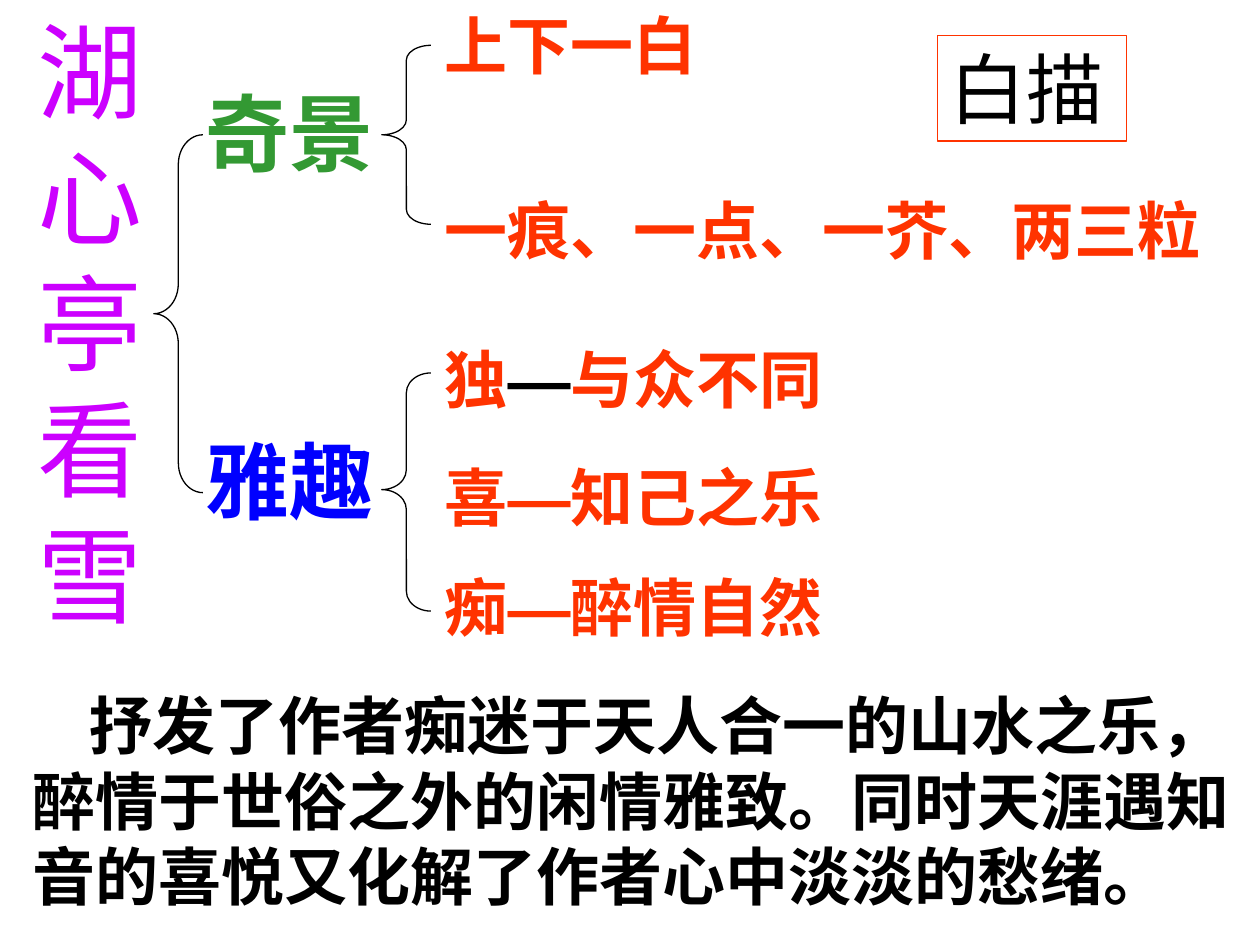
from pptx import Presentation
from pptx.dml.color import RGBColor
from pptx.enum.shapes import MSO_SHAPE as Shape
from pptx.enum.text import MSO_ANCHOR as Anchor, MSO_AUTO_SIZE as AutoSize, PP_ALIGN as Align
from pptx.oxml.ns import qn
from pptx.util import Inches, Pt
from lxml.etree import SubElement

COLUMNS, ROWS = 10, 7.5
BLACK = RGBColor(0, 0, 0)
RED = RGBColor(0xFF, 0x33, 0)
GREEN = RGBColor(0x33, 0x99, 0x33)
BLUE = RGBColor(0, 0, 0xFF)
PURPLE = RGBColor(0xCC, 0, 0xFF)


def write(box, *parts, size=36, color=RED, bold=True, font="Arial", indent=0):
    frame = box.text_frame
    frame.word_wrap = True
    frame.auto_size = AutoSize.NONE
    frame.vertical_anchor = Anchor.TOP
    para = frame.paragraphs[0]
    para.alignment = Align.LEFT
    if indent:
        para._p.get_or_add_pPr().set("indent", str(Inches(indent)))
    for part in parts:
        text, tint = part if isinstance(part, tuple) else (part, color)
        span = para.add_run()
        span.text = text
        span.font.name = font
        span.font.size = Pt(size)
        span.font.bold = bold
        span.font.color.rgb = tint
        SubElement(span._r.get_or_add_rPr(), qn("a:ea")).set("typeface", font)


class Board:
    def __init__(self, deck):
        self.page = deck.slides.add_slide(deck.slide_layouts[5])
        self.column = deck.slide_width / COLUMNS
        self.row = deck.slide_height / ROWS

    def area(self, left, top, width, height):
        return (int(left * self.column), int(top * self.row),
                int(width * self.column), int(height * self.row))

    def title(self, text, *place, **style):
        box = self.page.shapes.title
        box.left, box.top, box.width, box.height = self.area(*place)
        write(box, text, **style)

    def label(self, parts, *place, **style):
        write(self.page.shapes.add_textbox(*self.area(*place)), *parts, **style)

    def outline(self, kind, color, *place):
        shape = self.page.shapes.add_shape(kind, *self.area(*place))
        shape.shadow.inherit = False
        shape.fill.background()
        shape.line.color.rgb = color
        shape.line.width = Pt(0.75)
        return shape

    def brace(self, left, top, height, middle=0.5):
        width = 0.39
        brace = self.outline(Shape.LEFT_BRACE, BLACK, left, top, width, height)
        brace.adjustments[0] = height / 12 / width
        brace.adjustments[1] = middle

    def framed(self, text, *place, **style):
        write(self.outline(Shape.RECTANGLE, RED, *place), text, **style)


def main():
    deck = Presentation()
    deck.slide_width, deck.slide_height = Inches(COLUMNS), Inches(ROWS)
    board = Board(deck)

    board.title("湖心亭看雪", 0.2, 0, 0.98, 5.1, size=60, color=PURPLE, bold=False)
    for text, top, color in (("奇景", 0.6, GREEN), ("雅趣", 3.36, BLUE)):
        board.label([text], 1.53, top, 1.65, 0.9, size=48, color=color)

    details = (
        (["上下一白"], 0, 2.57),
        (["一痕、一点、一芥、两三粒"], 1.47, 6.3),
        (["独", ("—", BLACK), "与众不同"], 2.65, 3.54),
        (["喜—知己之乐"], 3.59, 3.46),
        (["痴—醉情自然"], 4.46, 3.62),
    )
    for parts, top, width in details:
        board.label(parts, 3.43, top, width, 0.7)

    board.brace(1.22, 1.07, 2.84)
    board.brace(3.03, 0.36, 1.42)
    board.brace(3.03, 2.96, 1.89, middle=0.49)

    board.framed("白描", 7.44, 0.28, 1.5, 0.84, size=44, color=BLACK,
                 bold=False, font="Noto Sans CJK SC")
    board.label(["抒发了作者痴迷于天人合一的山水之乐，醉情于世俗之外的闲情雅致。"
                 "同时天涯遇知音的喜悦又化解了作者心中淡淡的愁绪。"],
                0.16, 5.4, 9.84, 1.9, color=BLACK, indent=0.45)
    deck.save("out.pptx")


if __name__ == "__main__":
    main()
